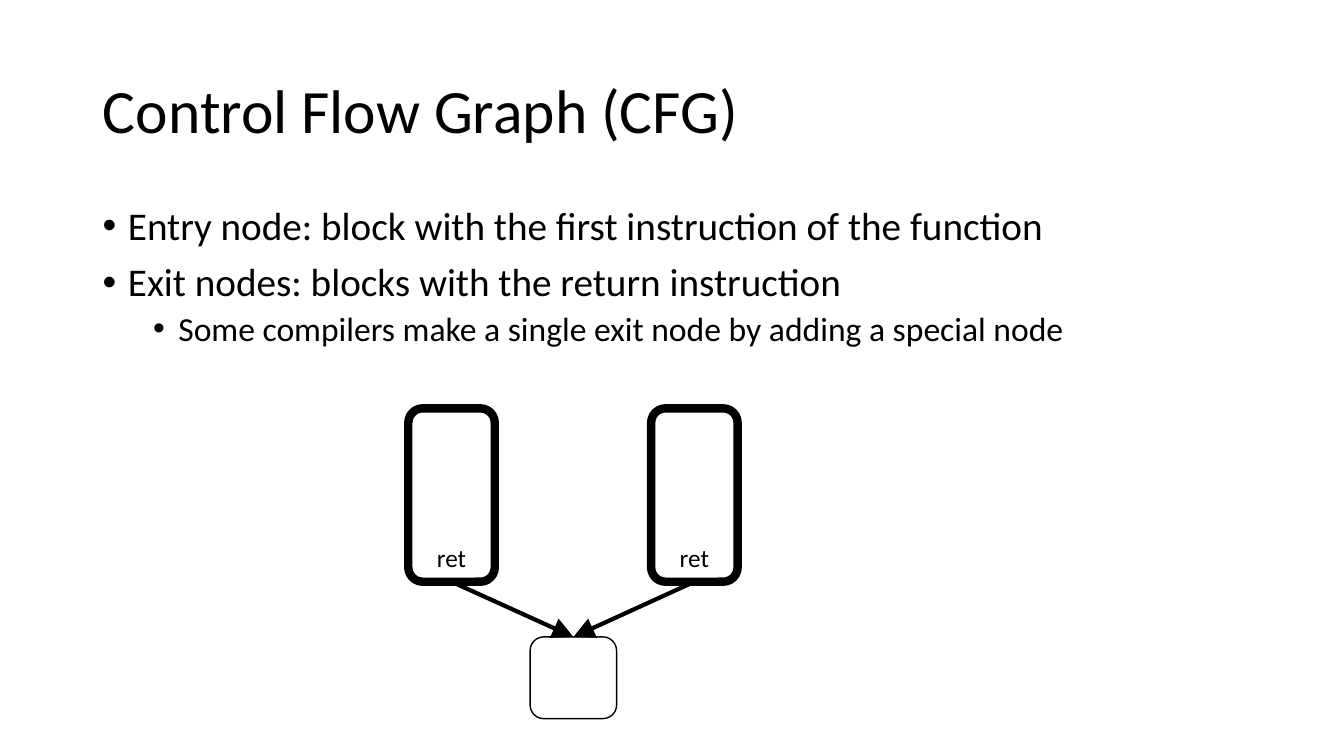
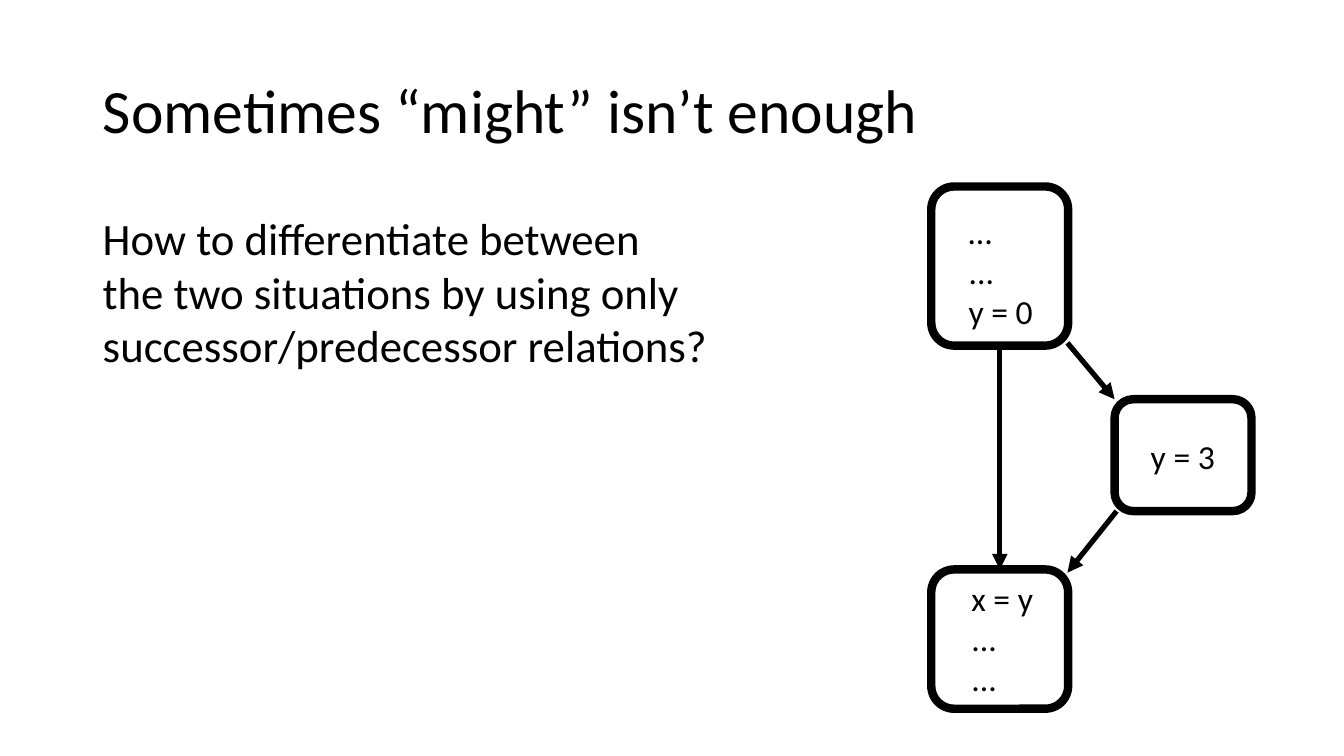
from lxml.etree import SubElement
from pptx import Presentation
from pptx.dml.color import RGBColor
from pptx.enum.shapes import MSO_CONNECTOR as Line, MSO_SHAPE as Preset
from pptx.enum.text import MSO_ANCHOR as Anchor, PP_ALIGN as Align
from pptx.oxml.ns import qn
from pptx.util import Cm, Pt

INK = RGBColor(0x00, 0x00, 0x00)
FONT = "Calibri"
MARGIN = 2.34
CONTENT_WIDTH = 29.21
THICK = 6


class Deck:
    def __init__(self):
        self.show = Presentation()
        self.show.slide_width = Cm(33.87)
        self.show.slide_height = Cm(19.05)
        self.slide = None

    def fill_text(self, frame, text, size, align=Align.LEFT):
        frame.text = text
        for paragraph in frame.paragraphs:
            paragraph.alignment = align
            self.style(paragraph, size)

    def style(self, paragraph, size):
        for run in paragraph.runs:
            run.font.name = FONT
            run.font.size = Pt(size)
            run.font.color.rgb = INK

    def new_slide(self, heading):
        self.slide = self.show.slides.add_slide(self.show.slide_layouts[5])
        title = self.slide.shapes.title
        title.left, title.top = Cm(MARGIN), Cm(1.02)
        title.width, title.height = Cm(CONTENT_WIDTH), Cm(3.68)
        frame = title.text_frame
        frame.vertical_anchor = Anchor.MIDDLE
        self.fill_text(frame, heading, 44)
        frame.paragraphs[0].line_spacing = 0.9

    def text(self, x, y, width, height, text, size, wrap=False):
        box = self.slide.shapes.add_textbox(Cm(x), Cm(y), Cm(width), Cm(height))
        box.text_frame.word_wrap = wrap
        self.fill_text(box.text_frame, text, size)
        return box.text_frame

    def bullets(self, y, height, items):
        lines = "\n".join(line for line, level in items)
        frame = self.text(MARGIN, y, CONTENT_WIDTH, height, lines, 28, wrap=True)
        for paragraph, (line, level) in zip(frame.paragraphs, items):
            paragraph.level = level
            paragraph.line_spacing = 0.9
            paragraph.space_before = Pt(5 if level else 10)
            self.style(paragraph, 24 if level else 28)
            props = paragraph._p.get_or_add_pPr()
            props.set("marL", str(Cm(0.635 + 1.27 * level)))
            props.set("indent", str(-Cm(0.635)))
            SubElement(props, qn("a:buFont"), typeface="Arial")
            SubElement(props, qn("a:buChar"), char="•")

    def block(self, x, y, width, height, border=THICK, label=""):
        block = self.slide.shapes.add_shape(
            Preset.ROUNDED_RECTANGLE, Cm(x), Cm(y), Cm(width), Cm(height))
        block.shadow.inherit = False
        block.fill.background()
        block.line.color.rgb = INK
        block.line.width = Pt(border)
        if label:
            block.text_frame.vertical_anchor = Anchor.BOTTOM
            self.fill_text(block.text_frame, label, 18, Align.CENTER)
        return block

    def arrow(self, start, end, width=3.75, head="med"):
        arrow = self.slide.shapes.add_connector(
            Line.STRAIGHT, *(Cm(value) for value in (*start, *end)))
        arrow.line.color.rgb = INK
        arrow.line.width = Pt(width)
        props = arrow._element.spPr
        SubElement(props.find(qn("a:ln")), qn("a:tailEnd"),
                   type="triangle", w=head, len=head)
        SubElement(props, qn("a:effectLst"))
        return arrow

    def link(self, upper, lower, **look):
        edge = self.arrow((0, 0), (0, 0), **look)
        edge.begin_connect(upper, 2)
        edge.end_connect(lower, 0)


deck = Deck()

deck.new_slide("Control Flow Graph (CFG)")
deck.bullets(5.08, 12.09, [
    ("Entry node: block with the first instruction of the function", 0),
    ("Exit nodes: blocks with the return instruction", 0),
    ("Some compilers make a single exit node by adding a special node", 1),
])
returns = [deck.block(x, 10.29, 2.18, 4.37, label="ret") for x in (10.29, 16.41)]
single_exit = deck.block(13.36, 16.05, 2.18, 2.06, border=1)
for return_block in returns:
    deck.link(return_block, single_exit, width=3, head="lg")

deck.new_slide("Sometimes “might” isn’t enough")
LEFT, SIDE, WIDTH = 23.47, 28.09, 3.45
first = deck.block(LEFT, 4.7, WIDTH, 4.01)
last = deck.block(LEFT, 14.35, WIDTH, 3.51)
deck.block(SIDE, 10.06, WIDTH, 2.82)
deck.text(24.16, 5.18, 2.13, 3.33, "…\n...\ny = 0", 24)
deck.text(24.23, 14.43, 2.08, 3.33, "x = y\n...\n...", 24)
deck.text(28.75, 10.85, 2.13, 1.27, "y = 3", 24)
deck.link(first, last)
deck.arrow((26.9, 8.64), (SIDE, 10.06))
deck.arrow((28.14, 12.88), (26.9, 14.43))
deck.text(MARGIN, 5.18, 15.9, 4.37,
          "How to differentiate between \vthe two situations by using only"
          "\vsuccessor/predecessor relations?", 32)

deck.show.save("out.pptx")
